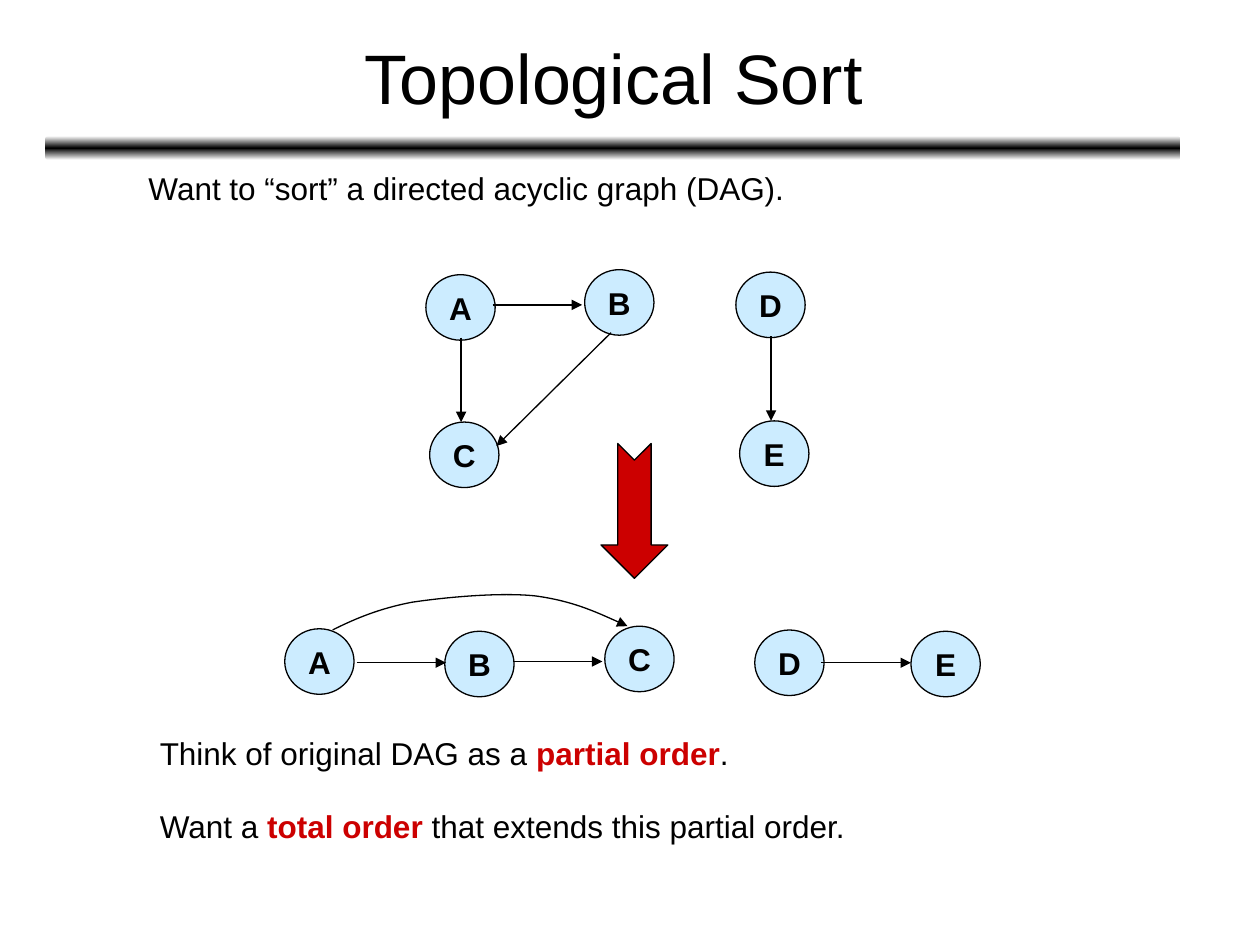
import copy
import dataclasses

import pptx
import pptx.dml.color
import pptx.enum.shapes
import pptx.enum.text
import pptx.oxml
import pptx.oxml.ns
import pptx.util

SCALE = 9144  # EMU per px, 100 px to the inch
KIND = pptx.enum.shapes.MSO_SHAPE
ALIGN = pptx.enum.text.PP_ALIGN
ANCHOR = pptx.enum.text.MSO_ANCHOR
qn = pptx.oxml.ns.qn


@dataclasses.dataclass(frozen=True)
class Theme:
    font: str = "Arial"
    title: int = 40
    body: int = 18
    gap: int = 20
    line: float = 0.75
    ink: str = "000000"
    paper: str = "FFFFFF"
    node: str = "CCECFF"
    accent: str = "CC0000"


THEME = Theme()


def px(*vals):
    return [pptx.util.Emu(round(v * SCALE)) for v in vals]


def rgb(code):
    return pptx.dml.color.RGBColor.from_string(code)


def mark(xml, tag, **attrs):
    """Append an empty DrawingML element."""
    node = pptx.oxml.parse_xml(f"<a:{tag} {pptx.oxml.ns.nsdecls('a')}/>")
    for key, val in attrs.items():
        node.set(key, str(val))
    xml.append(node)
    return node


def stroke(shape, head=False):
    shape.line.color.rgb = rgb(THEME.ink)
    shape.line.width = pptx.util.Pt(THEME.line)
    if head:
        mark(shape.line._get_or_add_ln(), "tailEnd", type="triangle")


def write(frame, paras, size, align=ALIGN.LEFT, wrap=False):
    """Each paragraph is a list of (text, colour, bold) runs."""
    frame.word_wrap = wrap
    for i, runs in enumerate(paras):
        para = frame.add_paragraph() if i else frame.paragraphs[0]
        para.alignment = align
        if i:
            para.space_before = pptx.util.Pt(THEME.gap)
        for text, color, bold in runs:
            run = para.add_run()
            run.text = text
            run.font.name = THEME.font
            run.font.size = pptx.util.Pt(size)
            run.font.bold = bold
            run.font.color.rgb = rgb(color)


def solid(slide, kind, box, color):
    shape = slide.shapes.add_shape(kind, *px(*box))
    shape.shadow.inherit = False
    shape.fill.solid()
    shape.fill.fore_color.rgb = rgb(color)
    stroke(shape)
    return shape


def header(slide, box):
    x, y, w, h = box
    # Bar that fades out above and below
    bar = slide.shapes.add_shape(KIND.ROUNDED_RECTANGLE,
                                 *px(x, y + h - 19, w, 19))
    bar.shadow.inherit = False
    bar.line.fill.background()
    bar.fill.gradient()
    bar.fill.gradient_angle = 90
    stops = bar._element.spPr.find(qn("a:gradFill")).find(qn("a:gsLst"))
    stops.append(copy.deepcopy(stops[0]))
    shades = (THEME.paper, THEME.ink, THEME.paper)
    for i, (stop, shade) in enumerate(zip(bar.fill.gradient_stops, shades)):
        stop.position = i / 2
        stop.color.rgb = rgb(shade)
    # Title
    area = slide.shapes.add_textbox(*px(x + 1, y, w - 1, h - 17))
    area.text_frame.vertical_anchor = ANCHOR.MIDDLE
    write(area.text_frame, [[("Topological Sort", THEME.ink, False)]],
          THEME.title, ALIGN.CENTER, True)


def note(slide, box, paras):
    area = slide.shapes.add_textbox(*px(*box))
    write(area.text_frame, paras, THEME.body)


def graph(slide, left, top, nodes, edges):
    # Nodes
    for name, (x, y) in nodes.items():
        disc = solid(slide, KIND.OVAL, (left + x, top + y, 55, 52), THEME.node)
        disc.text_frame.vertical_anchor = ANCHOR.MIDDLE
        write(disc.text_frame, [[(name, THEME.ink, True)]],
              THEME.body, ALIGN.CENTER)
    # Edges
    for x1, y1, x2, y2 in edges:
        edge = slide.shapes.add_connector(
            pptx.enum.shapes.MSO_CONNECTOR.STRAIGHT,
            *px(left + x1, top + y1, left + x2, top + y2))
        stroke(edge, head=True)
        mark(edge._element.spPr, "effectLst")


def curve(slide, left, top, start, arcs):
    """Draw cubic arcs, each two control points and an end."""
    pen = slide.shapes.build_freeform(*start, scale=SCALE)
    pen.add_line_segments([arc[-1] for arc in arcs], close=False)
    shape = pen.convert_to_shape(*px(left, top))
    shape.shadow.inherit = False
    shape.fill.background()
    stroke(shape, head=True)
    ends = [start] + [arc[-1] for arc in arcs]
    minx, miny = (min(axis) for axis in zip(*ends))
    lines = list(shape._element.iter(qn("a:lnTo")))
    for line, arc in zip(lines, arcs):
        bend = mark(line.getparent(), "cubicBezTo")
        for x, y in arc:
            mark(bend, "pt", x=x - minx, y=y - miny)
        line.getparent().replace(line, bend)


def main():
    deck = pptx.Presentation()
    deck.slide_width, deck.slide_height = px(1000, 750)
    slide = deck.slides.add_slide(deck.slide_layouts[6])
    ink, accent = THEME.ink, THEME.accent

    header(slide, (36, 11, 901, 116))
    note(slide, (108, 129, 525, 40),
         [[("Want to “sort” a directed acyclic graph (DAG).", ink, False)]])

    # Partial order
    graph(slide, 338, 214,
          {"A": (0, 4), "B": (126, 0), "C": (3, 121),
           "D": (246, 2), "E": (249, 120)},
          [(53, 28, 124, 28), (28, 54, 28, 121),
           (147, 50, 56, 140), (274, 53, 274, 120)])

    # Arrow down to the sorted graph
    arrow = solid(slide, KIND.NOTCHED_RIGHT_ARROW, (450, 379, 107, 53), accent)
    arrow.rotation = 90

    # Total order
    graph(slide, 226, 497,
          {"A": (0, 2), "B": (127, 4), "C": (254, 0),
           "D": (373, 3), "E": (497, 4)},
          [(57, 29, 128, 29), (181, 28, 252, 28), (426, 29, 497, 29)])
    curve(slide, 264, 470, (0, 30),
          [[(18, 21), (37, 13), (63, 8)],
           [(90, 4), (133, 0), (161, 3)],
           [(190, 7), (212, 17), (234, 27)]])

    note(slide, (117, 578, 566, 97),
         [[("Think of original DAG as a ", ink, False),
           ("partial order", accent, True), (".", ink, False)],
          [("Want a ", ink, False), ("total order", accent, True),
           (" that extends this partial order.", ink, False)]])

    deck.save("out.pptx")


if __name__ == "__main__":
    main()
